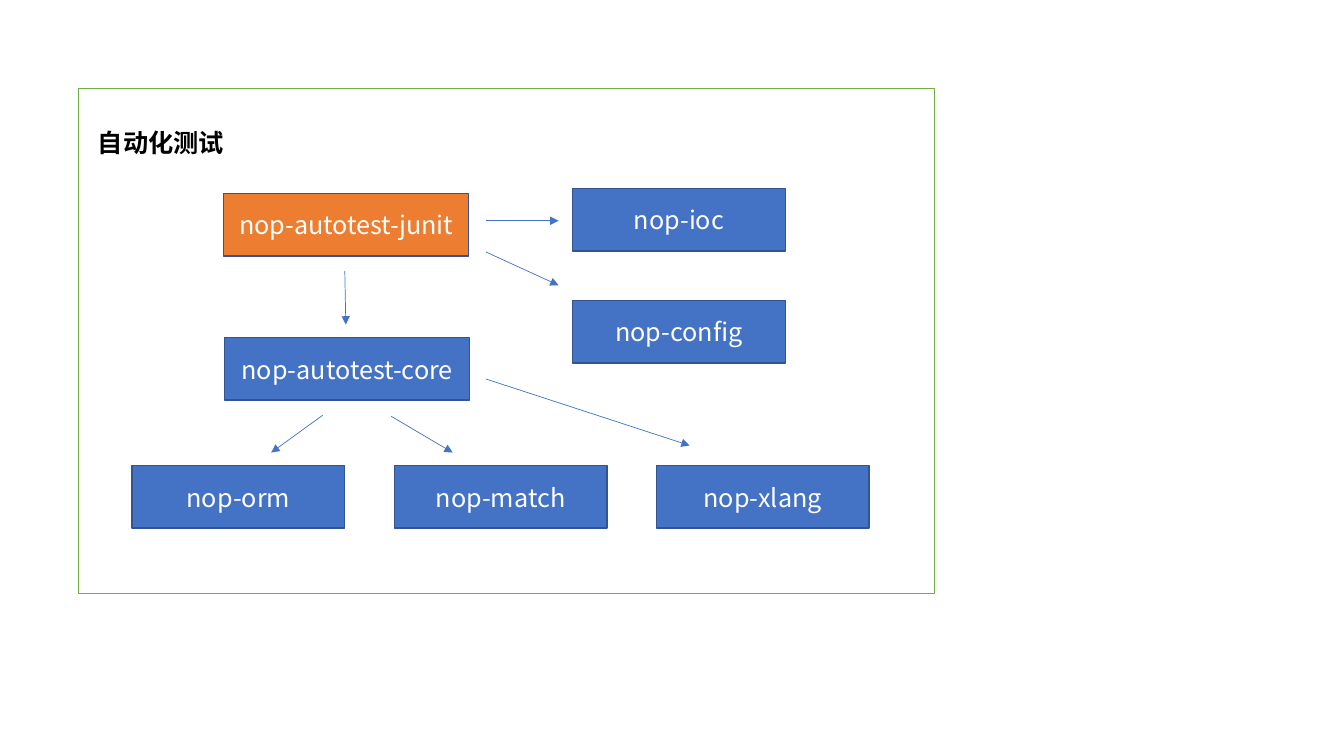
from lxml import etree
from pptx import Presentation
from pptx.dml.color import RGBColor
from pptx.enum import shapes, text
from pptx.oxml.ns import qn
from pptx.util import Inches, Pt

WHITE = RGBColor(0xFF, 0xFF, 0xFF)
BLACK = RGBColor(0, 0, 0)
GREEN = RGBColor(0x70, 0xAD, 0x47)
ORANGE = RGBColor(0xED, 0x7D, 0x31)
BLUE = RGBColor(0x44, 0x72, 0xC4)
DARK_BLUE = RGBColor(0x32, 0x54, 0x91)
FONT = "Noto Sans CJK SC"

TITLE = "自动化测试"
TITLE_AREA = (0.87, 1.21, 1.8, 0.4)
FRAME_AREA = (0.78, 0.88, 8.49, 5.01)

MODULE_HEIGHT = 0.62
AUTOTEST_WIDTH, DEPENDENCY_WIDTH = 2.43, 2.11
AUTOTEST_MODULES = [
    ("nop-autotest-junit", 2.22, 1.92, ORANGE),
    ("nop-autotest-core", 2.23, 3.35, BLUE),
]
JUNIT_DEPENDENCIES = ["nop-ioc", "nop-config"]
JUNIT_LEFT, JUNIT_TOP, JUNIT_STEP = 5.68, 1.87, 1.11
CORE_DEPENDENCIES = ["nop-orm", "nop-match", "nop-xlang"]
CORE_LEFT, CORE_TOP, CORE_STEP = 1.31, 4.62, 2.6

ARROWS = [
    ((3.42, 2.69), (3.43, 3.22)),
    ((4.82, 2.19), (5.54, 2.19)),
    ((4.82, 2.5), (5.54, 2.83)),
    ((3.2, 4.12), (2.69, 4.49)),
    ((3.88, 4.13), (4.49, 4.49)),
    ((4.82, 3.76), (6.84, 4.42)),
]


def add_box(slide, area, fill, line):
    box = slide.shapes.add_shape(
        shapes.MSO_SHAPE.RECTANGLE, *map(Inches, area))
    box.shadow.inherit = False
    box.fill.solid()
    box.fill.fore_color.rgb = fill
    box.line.color.rgb = line
    box.line.width = Pt(1)
    return box


def write(shape, words, color, alignment, anchor, bold=False):
    frame = shape.text_frame
    frame.word_wrap = True
    frame.vertical_anchor = anchor
    paragraph = frame.paragraphs[0]
    paragraph.alignment = alignment
    run = paragraph.add_run()
    run.text = words
    for name, value in {"name": FONT, "size": Pt(18), "bold": bold}.items():
        setattr(run.font, name, value)
    run.font.color.rgb = color
    properties = run.font._element if hasattr(run.font, "_element") else run._r.get_or_add_rPr()
    etree.SubElement(properties, qn("a:ea"), typeface=FONT)


def add_module(slide, name, left, top, width, fill):
    box = add_box(slide, (left, top, width, MODULE_HEIGHT), fill, DARK_BLUE)
    write(box, name, WHITE, text.PP_ALIGN.CENTER, text.MSO_ANCHOR.MIDDLE)


def add_arrow(slide, start, end):
    arrow = slide.shapes.add_connector(
        shapes.MSO_CONNECTOR.STRAIGHT, *map(Inches, start + end))
    arrow.line.color.rgb = BLUE
    arrow.line.width = Pt(0.5)
    etree.SubElement(arrow.line._get_or_add_ln(), qn("a:tailEnd"), type="triangle")
    etree.SubElement(arrow.element.spPr, qn("a:effectLst"))


def main():
    presentation = Presentation()
    presentation.slide_width = Inches(13.33)
    presentation.slide_height = Inches(7.5)
    slide = presentation.slides.add_slide(presentation.slide_layouts[5])

    frame = add_box(slide, FRAME_AREA, WHITE, GREEN)
    title = slide.shapes.title
    frame.element.addnext(title.element)  # the title lies over the frame
    title.left, title.top, title.width, title.height = map(Inches, TITLE_AREA)
    write(title, TITLE, BLACK, text.PP_ALIGN.LEFT, text.MSO_ANCHOR.TOP, bold=True)
    title.text_frame.auto_size = text.MSO_AUTO_SIZE.SHAPE_TO_FIT_TEXT

    for name, left, top, fill in AUTOTEST_MODULES:
        add_module(slide, name, left, top, AUTOTEST_WIDTH, fill)
    for row, name in enumerate(JUNIT_DEPENDENCIES):
        add_module(slide, name, JUNIT_LEFT, JUNIT_TOP + row * JUNIT_STEP,
                   DEPENDENCY_WIDTH, BLUE)
    for column, name in enumerate(CORE_DEPENDENCIES):
        add_module(slide, name, CORE_LEFT + column * CORE_STEP, CORE_TOP,
                   DEPENDENCY_WIDTH, BLUE)
    for start, end in ARROWS:
        add_arrow(slide, start, end)

    presentation.save("out.pptx")


if __name__ == "__main__":
    main()
